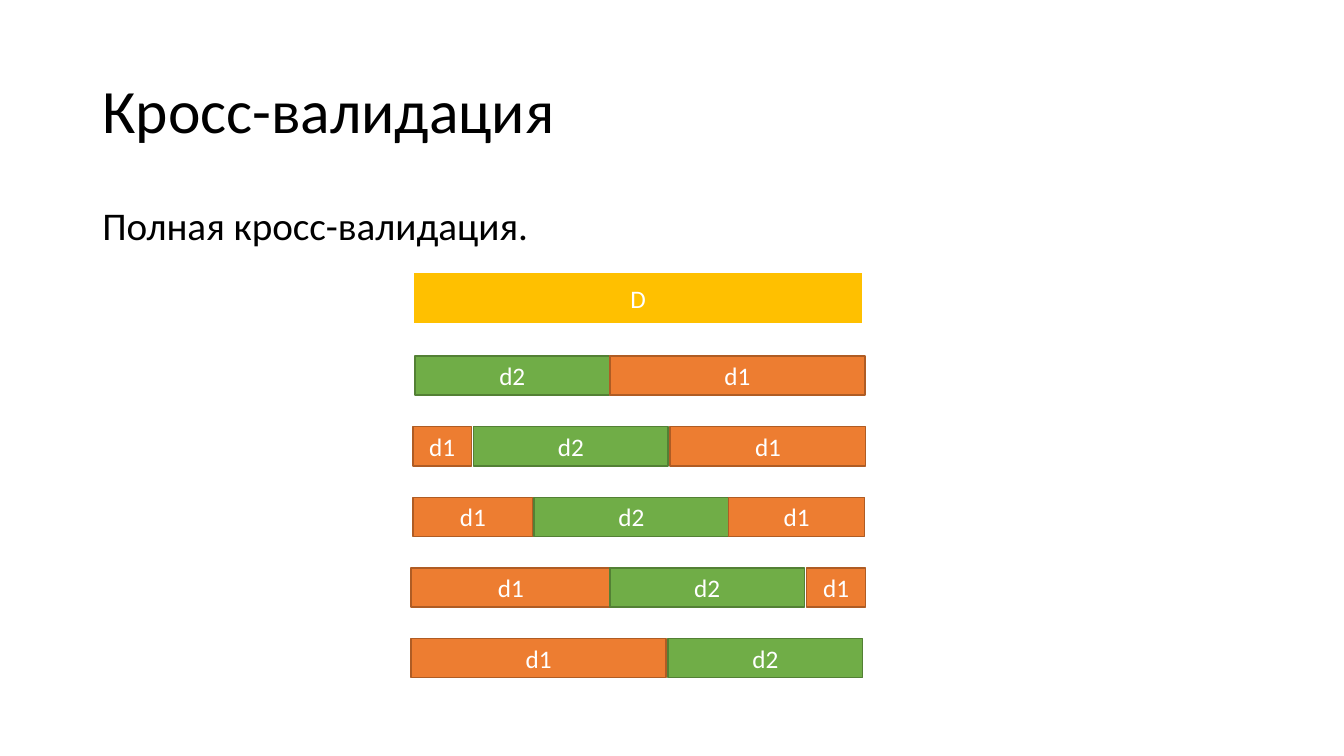
from pptx import Presentation, util as u
from pptx.dml.color import RGBColor
from pptx.enum import shapes, text

HUES = {
    "ink": "000000", "white": "FFFFFF", "gold": "FFC000",
    "orange": "ED7D31", "rust": "AF5C24",
    "green": "70AD47", "moss": "538035",
}
KINDS = {
    "D": ("gold", "white", 1.5),
    "d1": ("orange", "rust", 1),
    "d2": ("green", "moss", 1),
}
TEST = 4.9
ROWS = [
    [("d2", 10.46, TEST), ("d1", 15.37, 6.43)],
    [("d1", 10.41, 1.47), ("d2", 11.94, TEST), ("d1", 16.89, 4.93)],
    [("d1", 10.41, 3.02), ("d2", 13.46, TEST), ("d1", 18.36, 3.43)],
    [("d1", 10.36, 5.03), ("d2", 15.37, TEST), ("d1", 20.32, 1.5)],
    [("d1", 10.36, 6.43), ("d2", 16.84, TEST)],
]
TOP, STEP, HIGH = 8.97, 1.78, 0.99


class Deck:
    font = "Calibri"

    def __init__(self):
        self.prs = Presentation()
        self.prs.slide_width = u.Cm(33.87)
        self.prs.slide_height = u.Cm(19.05)
        self.slide = self.prs.slides.add_slide(self.prs.slide_layouts[6])

    def letter(self, shape, words, size, hue, anchor, form):
        frame = shape.text_frame
        frame.word_wrap = True
        frame.vertical_anchor = anchor
        para = frame.paragraphs[0]
        for key, val in form.items():
            setattr(para, key, val)
        run = para.add_run()
        run.text = words
        for key, val in {"name": self.font, "size": u.Pt(size)}.items():
            setattr(run.font, key, val)
        run.font.color.rgb = RGBColor.from_string(HUES[hue])

    def label(self, words, box, size, anchor, **form):
        shape = self.slide.shapes.add_textbox(*map(u.Cm, box))
        self.letter(shape, words, size, "ink", anchor, {"line_spacing": 0.9, **form})

    def bar(self, name, *box):
        fill, edge, width = KINDS[name]
        shape = self.slide.shapes.add_shape(
            shapes.MSO_SHAPE.RECTANGLE, *map(u.Cm, box))
        shape.shadow.inherit = False
        shape.fill.solid()
        shape.fill.fore_color.rgb = RGBColor.from_string(HUES[fill])
        shape.line.color.rgb = RGBColor.from_string(HUES[edge])
        shape.line.width = u.Pt(width)
        self.letter(shape, name, 18, "white", text.MSO_ANCHOR.MIDDLE,
                    {"alignment": text.PP_ALIGN.CENTER})


def main():
    deck = Deck()
    deck.label("Кросс-валидация", (2.33, 1.01, 29.21, 3.68), 44,
               text.MSO_ANCHOR.MIDDLE)
    deck.label("Полная кросс-валидация.", (2.33, 5.08, 29.21, 1.52), 28,
               text.MSO_ANCHOR.TOP, space_before=u.Pt(10))
    deck.bar("D", 10.41, 6.86, 11.35, 1.32)
    for i, row in enumerate(ROWS):
        for name, left, wide in row:
            deck.bar(name, left, TOP + i * STEP, wide, HIGH)
    deck.prs.save("out.pptx")


if __name__ == "__main__":
    main()
